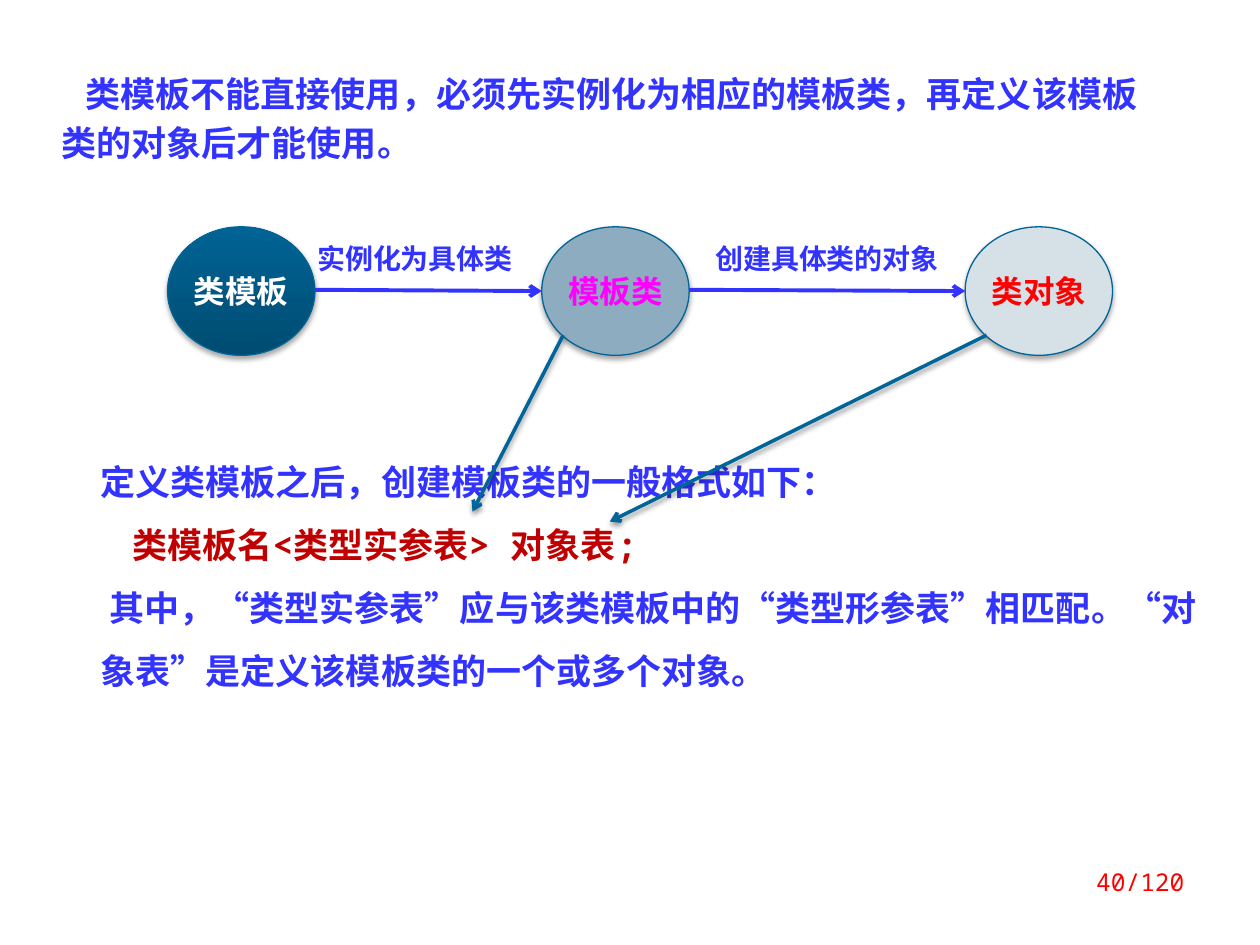
from lxml import etree
from pptx import Presentation
from pptx.dml.color import RGBColor
from pptx.enum.lang import MSO_LANGUAGE_ID
from pptx.enum.shapes import MSO_CONNECTOR, MSO_SHAPE
from pptx.enum.text import MSO_ANCHOR, PP_ALIGN
from pptx.oxml.ns import qn
from pptx.util import Inches, Pt

BLUE = RGBColor(0x33, 0x33, 0xFF)
DARK_RED = RGBColor(0xC0, 0x00, 0x00)
RED = RGBColor(0xFF, 0x00, 0x00)
MAGENTA = RGBColor(0xFF, 0x00, 0xFF)
WHITE = RGBColor(0xFF, 0xFF, 0xFF)
OUTLINE = RGBColor(0x00, 0x64, 0x96)
POINTER = RGBColor(0x00, 0x66, 0x99)
DEEP_TEAL = RGBColor(0x00, 0x4C, 0x72)
TEAL = RGBColor(0x00, 0x63, 0x95)
GREY_BLUE = RGBColor(0x8E, 0xAC, 0xBF)
PALE_BLUE = RGBColor(0xD5, 0xE0, 0xE7)
SANS = "Noto Sans CJK SC"
MONO = "Noto Sans Mono"
LEFT, CENTER, RIGHT = PP_ALIGN.LEFT, PP_ALIGN.CENTER, PP_ALIGN.RIGHT
MIDDLE = MSO_ANCHOR.MIDDLE
CHINESE = MSO_LANGUAGE_ID.SIMPLIFIED_CHINESE
OVAL = MSO_SHAPE.OVAL
STRAIGHT = MSO_CONNECTOR.STRAIGHT


def write(para, text, size, color, font, bold=True, align=LEFT):
    para.alignment = align
    span = para.add_run()
    span.text = text
    span.font.size = Pt(size)
    span.font.bold = bold
    span.font.color.rgb = color
    span.font.name = font
    span.font.language_id = CHINESE
    etree.SubElement(span.font._element, qn("a:ea"), typeface=SANS)


def set_shadow(shape, opacity):
    effects = etree.SubElement(shape._element.spPr, qn("a:effectLst"))
    if opacity:
        shadow = etree.SubElement(effects, qn("a:outerShdw"), blurRad=str(Pt(3.1)),
                                  dist=str(Pt(1.8)), dir="5400000", rotWithShape="0")
        black = etree.SubElement(shadow, qn("a:srgbClr"), val="000000")
        etree.SubElement(black, qn("a:alpha"), val=str(opacity * 1000))


deck = Presentation()
deck.slide_width, deck.slide_height = Inches(10), Inches(7.5)
page = deck.slides.add_slide(deck.slide_layouts[6])

intro = page.shapes.add_textbox(Inches(0.39), Inches(0.47), Inches(8.98), Inches(0.86))
intro.text_frame.word_wrap = True
para = intro.text_frame.paragraphs[0]
para.line_spacing = Pt(28)
para._p.get_or_add_pPr().set("indent", str(Inches(0.19)))
write(para, "类模板不能直接使用，必须先实例化为相应的模板类，再定义该模板类的对象后才能使用。",
      20, BLUE, MONO)

syntax = page.shapes.add_textbox(Inches(0.7), Inches(3.44), Inches(8.98), Inches(2.06))
syntax.text_frame.word_wrap = True
syntax_lines = [
    ("定义类模板之后，创建模板类的一般格式如下：", BLUE, 0),
    ("类模板名<类型实参表> 对象表;", DARK_RED, 0.25),
    ("其中，“类型实参表”应与该类模板中的“类型形参表”相匹配。“对象表”是定义该模板类的一个或多个对象。",
     BLUE, 0.07),
]
for index, (text, color, indent) in enumerate(syntax_lines):
    para = syntax.text_frame.add_paragraph() if index else syntax.text_frame.paragraphs[0]
    para.line_spacing = 1.5
    para._p.get_or_add_pPr().set("indent", str(Inches(indent)))
    write(para, text, 20, color, MONO)

stages = [
    ("类模板", 1.33, None, WHITE),
    ("模板类", 4.3, GREY_BLUE, MAGENTA),
    ("类对象", 7.66, PALE_BLUE, RED),
]
for text, left, fill, color in stages:
    stage = page.shapes.add_shape(OVAL, Inches(left), Inches(1.8), Inches(1.17), Inches(1.02))
    if fill:
        stage.fill.solid()
        stage.fill.fore_color.rgb = fill
    else:
        stage.fill.gradient()
        stage.fill.gradient_angle = 90
        for stop, shade in zip(stage.fill.gradient_stops, (DEEP_TEAL, TEAL)):
            stop.color.rgb = shade
    stage.line.color.rgb = OUTLINE
    stage.line.width = Pt(0.75)
    set_shadow(stage, 35)
    stage.text_frame.word_wrap = False
    stage.text_frame.vertical_anchor = MIDDLE
    write(stage.text_frame.paragraphs[0], text, 18, color, SANS, align=CENTER)

arrows = [
    (2.5, 2.3, 4.3, 2.31, BLUE, 2.25, 0),
    (5.47, 2.3, 7.66, 2.31, BLUE, 2.25, 0),
    (4.47, 2.66, 3.75, 4.06, POINTER, 2, 38),
    (7.83, 2.66, 4.84, 4.14, POINTER, 2, 38),
]
for x1, y1, x2, y2, color, width, opacity in arrows:
    arrow = page.shapes.add_connector(STRAIGHT, Inches(x1), Inches(y1), Inches(x2), Inches(y2))
    arrow.line.color.rgb = color
    arrow.line.width = Pt(width)
    etree.SubElement(arrow.line._get_or_add_ln(), qn("a:tailEnd"), type="arrow")
    set_shadow(arrow, opacity)

labels = [
    ("实例化为具体类", 2.42, 1.87, 1.8, 0.37, 16, BLUE, SANS, True, LEFT),
    ("创建具体类的对象", 5.55, 1.87, 2.03, 0.37, 16, BLUE, SANS, True, CENTER),
    ("40/120", 7.17, 6.83, 2.33, 0.5, 14, RED, MONO, False, RIGHT),
]
for text, left, top, width, height, size, color, font, bold, align in labels:
    label = page.shapes.add_textbox(Inches(left), Inches(top), Inches(width), Inches(height))
    label.text_frame.word_wrap = True
    write(label.text_frame.paragraphs[0], text, size, color, font, bold, align)

deck.save("out.pptx")
